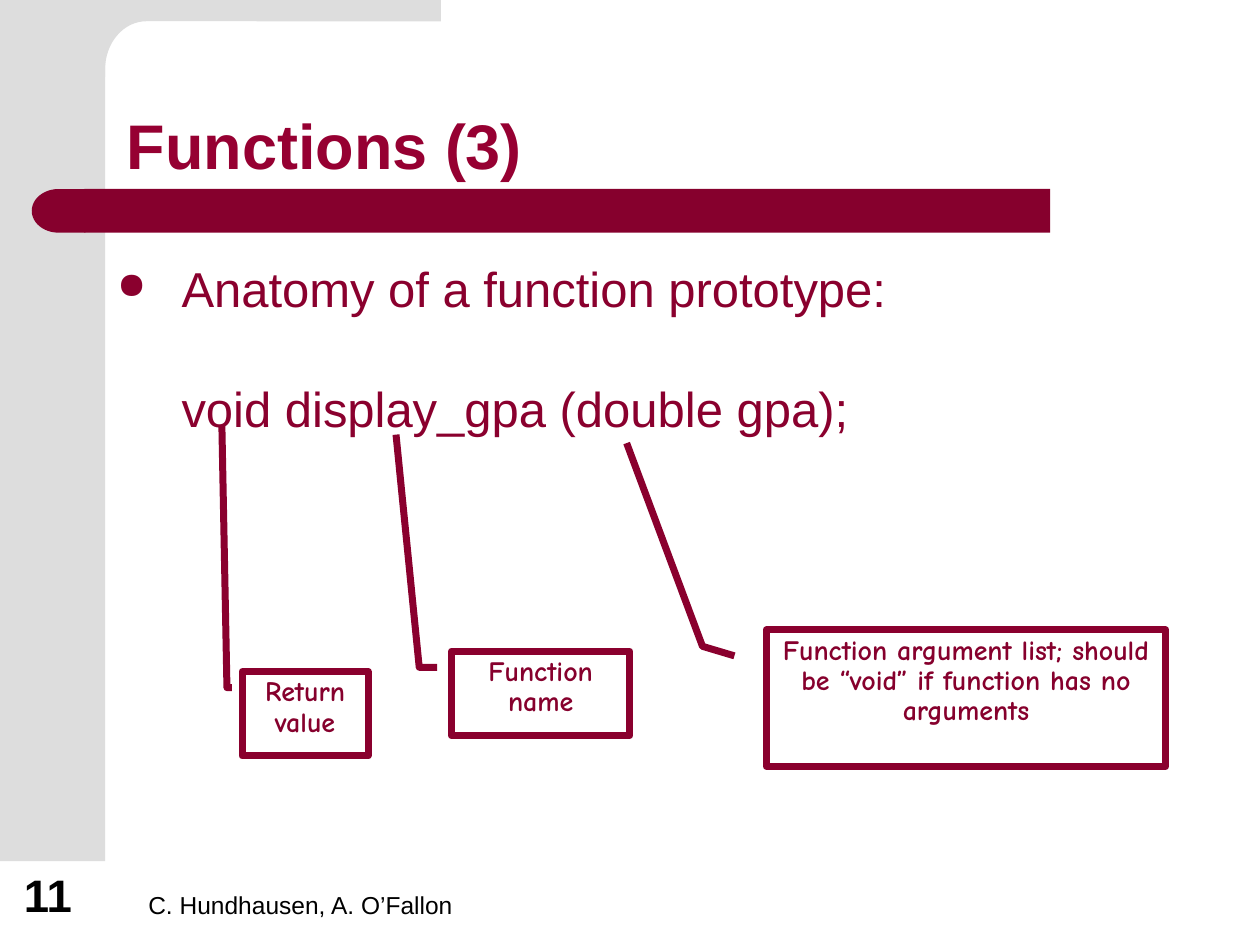
from dataclasses import dataclass
from math import cos, pi, sin

from lxml.etree import SubElement
from pptx import Presentation
from pptx.dml.color import RGBColor
from pptx.enum.shapes import MSO_SHAPE as Preset
from pptx.enum.text import MSO_ANCHOR as Anchor, PP_ALIGN as Align
from pptx.oxml.ns import qn
from pptx.util import Cm, Pt

COLORS = {
    "panel": "DDDDDD",
    "bar": "86002D",
    "title": "960032",
    "body": "8A002E",
    "footer": "000000",
}


@dataclass(frozen=True)
class Frame:
    left: float
    top: float
    width: float
    height: float

    def lengths(self) -> tuple:
        return Cm(self.left), Cm(self.top), Cm(self.width), Cm(self.height)


@dataclass(frozen=True)
class Label:
    frame: Frame
    text: str
    size: int
    color: str
    bold: bool = False
    spacing: float = 1.0


@dataclass(frozen=True)
class Callout:
    frame: Frame
    text: str
    leader: tuple


LABELS = [
    Label(Frame(2.74, 17.35, 9.53, 1.32), "C. Hundhausen, A. O’Fallon", 14, "footer"),
    Label(Frame(0.23, 17.35, 1.63, 1.35), "11", 26, "footer", True),
    Label(Frame(2.31, 1.04, 21.62, 2.77), "Functions (3)", 36, "title", True, 0.9),
]

CALLOUTS = [
    Callout(Frame(4.88, 13.54, 2.54, 1.7), "Return value",
            (0.19, -0.08, 0.19, -0.12, -2.91, -0.16)),
    Callout(Frame(9.1, 13.13, 3.6, 1.7), "Function name",
            (0.19, -0.08, 0.19, -0.18, -2.57, -0.31)),
    Callout(Frame(15.45, 12.7, 8.05, 2.75),
            "Function argument list; should be “void” if function has no arguments",
            (0.19, -0.08, 0.12, -0.16, -1.37, -0.35)),
]


def rgb(name: str) -> RGBColor:
    return RGBColor.from_string(COLORS[name])


def style(para, size: int, color: str, bold: bool = False, face: str = "Arial") -> None:
    font = para.font
    font.name, font.size, font.bold = face, Pt(size), bold
    font.color.rgb = rgb(color)


def paint(shape, color: str) -> None:
    shape.shadow.inherit = False
    shape.fill.solid()
    shape.fill.fore_color.rgb = rgb(color)
    shape.line.fill.background()


def add_block(page, preset, frame: Frame, color: str):
    shape = page.shapes.add_shape(preset, *frame.lengths())
    paint(shape, color)
    return shape


def add_corner(page) -> None:
    angles = [pi / 2 * step / 16 for step in range(17)]
    curve = [(2.95 - 0.83 * sin(a), 1.4 - 0.97 * cos(a)) for a in angles]
    outline = [(8.89, 0.43), *curve, (2.12, 1.55), (1.27, 1.55), (1.27, 0)]
    builder = page.shapes.build_freeform(Cm(8.89), 0)
    builder.add_line_segments([(Cm(x), Cm(y)) for x, y in outline], close=True)
    paint(builder.convert_to_shape(), "panel")


def add_label(page, label: Label) -> None:
    box = page.shapes.add_textbox(*label.frame.lengths()).text_frame
    box.word_wrap = True
    box.vertical_anchor = Anchor.BOTTOM
    para = box.paragraphs[0]
    para.text = label.text
    para.line_spacing = label.spacing
    style(para, label.size, label.color, label.bold)


def add_bullet(para) -> None:
    props = para._p.get_or_add_pPr()
    props.set("indent", str(Cm(-1.3)))
    tint = SubElement(props, qn("a:buClr"))
    SubElement(tint, qn("a:srgbClr"), val=COLORS["body"])
    SubElement(props, qn("a:buSzPct"), val="75000")
    SubElement(props, qn("a:buChar"), char="●")


def add_body(page) -> None:
    box = page.shapes.add_textbox(*Frame(2.11, 5.08, 21.36, 10.34).lengths()).text_frame
    box.word_wrap = True
    heading, prototype = box.paragraphs[0], box.add_paragraph()
    heading.text = "Anatomy of a function prototype:"
    prototype.text = "void display_gpa (double gpa);"
    add_bullet(heading)
    prototype.space_before = Pt(35)
    for para in (heading, prototype):
        para._p.get_or_add_pPr().set("marL", str(Cm(1.3)))
        style(para, 28, "body")


def add_callout(page, callout: Callout) -> None:
    shape = page.shapes.add_shape(Preset.LINE_CALLOUT_2, *callout.frame.lengths())
    shape.shadow.inherit = False
    shape.fill.background()
    shape.line.color.rgb = rgb("body")
    shape.line.width = Pt(4)
    for index, value in enumerate(callout.leader):
        shape.adjustments[index] = value
    box = shape.text_frame
    box.word_wrap = True
    box.vertical_anchor = Anchor.TOP
    para = box.paragraphs[0]
    para.text = callout.text
    para.alignment = Align.CENTER
    para.line_spacing = 0.9
    style(para, 16, "bar", True, "Comic Neue")


def main() -> None:
    deck = Presentation()
    deck.slide_width, deck.slide_height = Cm(25.4), Cm(19.05)
    page = deck.slides.add_slide(deck.slide_layouts[6])
    add_block(page, Preset.RECTANGLE, Frame(0, 0, 2.12, 17.36), "panel")
    add_corner(page)
    add_block(page, Preset.RECTANGLE, Frame(1.7, 3.81, 19.47, 0.88), "bar")
    cap = add_block(page, Preset.FLOWCHART_DELAY, Frame(0.64, 3.81, 1.08, 0.88), "bar")
    cap.rotation = 180
    for label in LABELS:
        add_label(page, label)
    add_body(page)
    for callout in CALLOUTS:
        add_callout(page, callout)
    deck.save("out.pptx")


if __name__ == "__main__":
    main()
